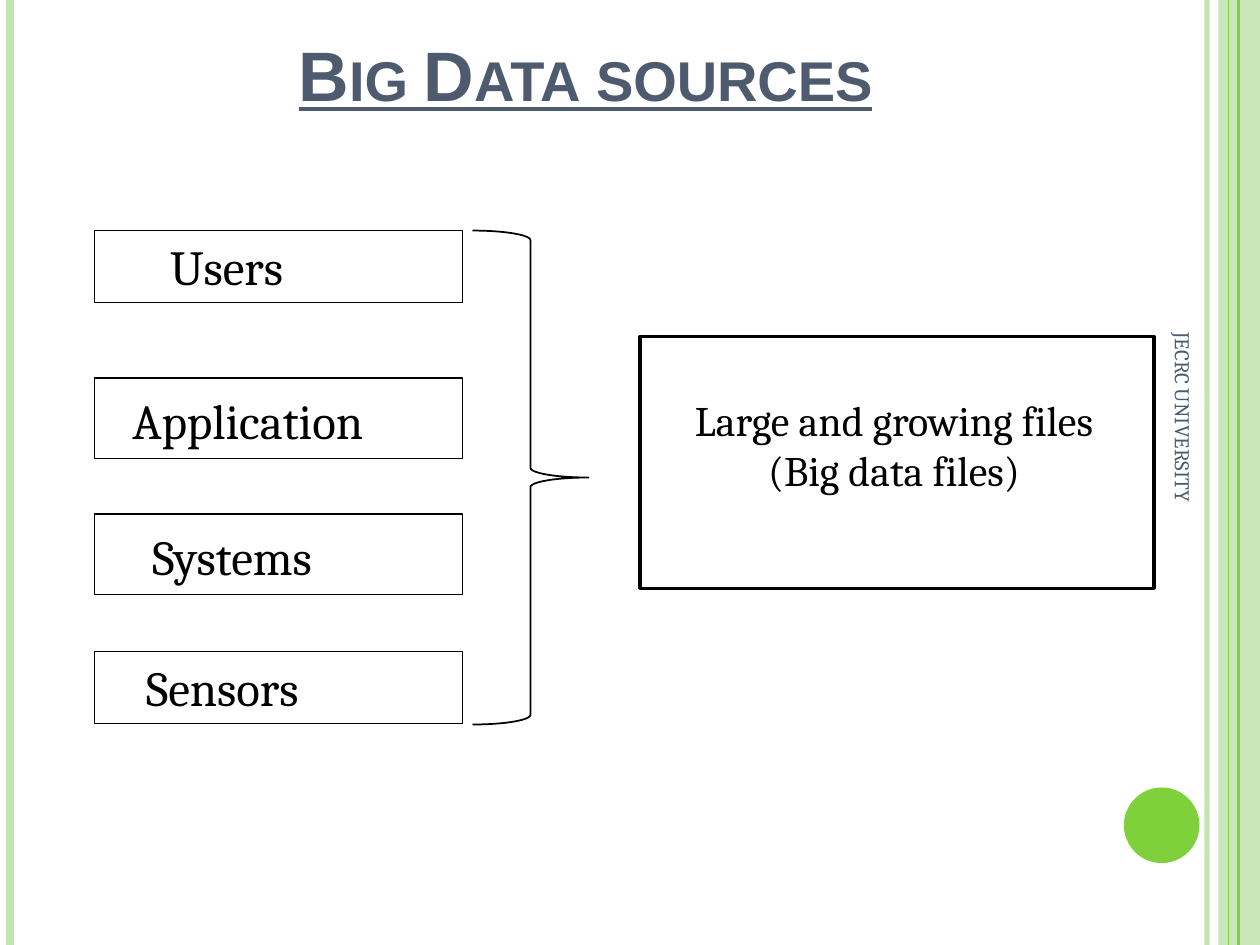
import pptx
import pptx.util
import pptx.dml.color
import pptx.enum.shapes
import pptx.enum.text
import pptx.oxml.ns
import lxml.etree

Inches = pptx.util.Inches
Pt = pptx.util.Pt
SHAPES = pptx.enum.shapes.MSO_SHAPE
ALIGN = pptx.enum.text.PP_ALIGN
ANCHOR = pptx.enum.text.MSO_ANCHOR

COLORS = {"pale": "C0E5AF", "green": "7FD13B", "slate": "4E5B6F",
          "black": "000000", "white": "FFFFFF"}

TITLE = "Big Data sources"
RESULT = ["Large and growing files", "(Big data files)"]
FOOTER = "JECRC UNIVERSITY"

# name, top, height, left inset, top inset
SOURCES = [
    ("Users", 1.83, 0.57, 0.6, 0.05),
    ("Application", 3, 0.64, 0.3, 0.1),
    ("Systems", 4.08, 0.64, 0.46, 0.1),
    ("Sensors", 5.17, 0.57, 0.41, 0.05),
]
LEFT_RULES = [(9.58, "pale", 3, 93), (0.08, "pale", 4.5, 100)]
RIGHT_RULES = [(9.83, "green", 1.5, 100), (9.75, "green", 0.75, 100)]


def rgb(name):
    return pptx.dml.color.RGBColor.from_string(COLORS[name])


def set_alpha(fill_parent, percent):
    color = fill_parent.find(".//" + pptx.oxml.ns.qn("a:srgbClr"))
    alpha = lxml.etree.SubElement(color, pptx.oxml.ns.qn("a:alpha"))
    alpha.set("val", str(percent * 1000))


def add_rule(slide, x, color, width, opacity):
    rule = slide.shapes.add_connector(
        pptx.enum.shapes.MSO_CONNECTOR.STRAIGHT,
        Inches(x), 0, Inches(x), Inches(7.5))
    rule.line.color.rgb = rgb(color)
    rule.line.width = Pt(width)
    properties = rule._element.spPr
    if opacity < 100:
        set_alpha(properties, opacity)
    lxml.etree.SubElement(properties, pptx.oxml.ns.qn("a:effectLst"))


def add_shape(slide, kind, box, fill=None, line=None, width=1):
    shape = slide.shapes.add_shape(kind, *map(Inches, box))
    shape.shadow.inherit = False
    if fill:
        shape.fill.solid()
        shape.fill.fore_color.rgb = rgb(fill)
    else:
        shape.fill.background()
    if line:
        shape.line.color.rgb = rgb(line)
        shape.line.width = Pt(width)
    else:
        shape.line.fill.background()
    return shape


def write(shape, lines, size, color="black", font="Cambria", align=ALIGN.LEFT,
          anchor=ANCHOR.TOP, insets=(0.1, 0.05, 0.1, 0.05)):
    frame = shape.text_frame
    frame.word_wrap = True
    frame.vertical_anchor = anchor
    (frame.margin_left, frame.margin_top,
     frame.margin_right, frame.margin_bottom) = map(Inches, insets)
    frame.text = "\n".join(lines)
    for paragraph in frame.paragraphs:
        paragraph.alignment = align
        for run in paragraph.runs:
            run.font.name = font
            run.font.size = Pt(size)
            run.font.color.rgb = rgb(color)


def add_text(slide, box, lines, size, **style):
    shape = slide.shapes.add_textbox(*map(Inches, box))
    write(shape, lines, size, **style)
    return shape


def main():
    presentation = pptx.Presentation()
    presentation.slide_width = Inches(10)
    presentation.slide_height = Inches(7.5)
    slide = presentation.slides.add_slide(presentation.slide_layouts[6])

    for rule in LEFT_RULES:
        add_rule(slide, *rule)
    band = add_shape(slide, SHAPES.RECTANGLE, (9.67, 0, 0.33, 7.5), "pale")
    set_alpha(band._element.spPr, 87)
    for rule in RIGHT_RULES:
        add_rule(slide, *rule)
    add_shape(slide, SHAPES.OVAL, (8.92, 6.25, 0.6, 0.6), "green")

    title = add_text(slide, (2.17, 0.17, 5.75, 0.83), [TITLE], 40, color="slate",
                     font="Arial", anchor=ANCHOR.MIDDLE, insets=(0.2, 0.05, 0.1, 0.05))
    title_run = title.text_frame.paragraphs[0].runs[0]
    title_run.font.bold = True
    title_run.font.underline = True
    title_run._r.get_or_add_rPr().set("cap", "small")

    for name, top, height, left_inset, top_inset in SOURCES:
        source = add_shape(slide, SHAPES.RECTANGLE, (0.75, top, 2.92, height),
                           "white", "black", 0.75)
        write(source, [name], 28, insets=(left_inset, top_inset, 0.1, 0))

    add_shape(slide, SHAPES.RECTANGLE, (5.08, 2.67, 4.08, 2), "white", "black", 2)
    add_text(slide, (5.42, 3.08, 3.67, 0.91), RESULT, 24, align=ALIGN.CENTER,
             insets=(0.02, 0.05, 0.34, 0.05))
    add_shape(slide, SHAPES.RIGHT_BRACE, (3.75, 1.83, 0.92, 3.92), line="black")

    footer = add_text(slide, (7.64, 4.09, 3.5, 0.4), [FOOTER], 12, color="slate",
                      anchor=ANCHOR.MIDDLE)
    footer.rotation = 90

    presentation.save("out.pptx")


if __name__ == "__main__":
    main()
